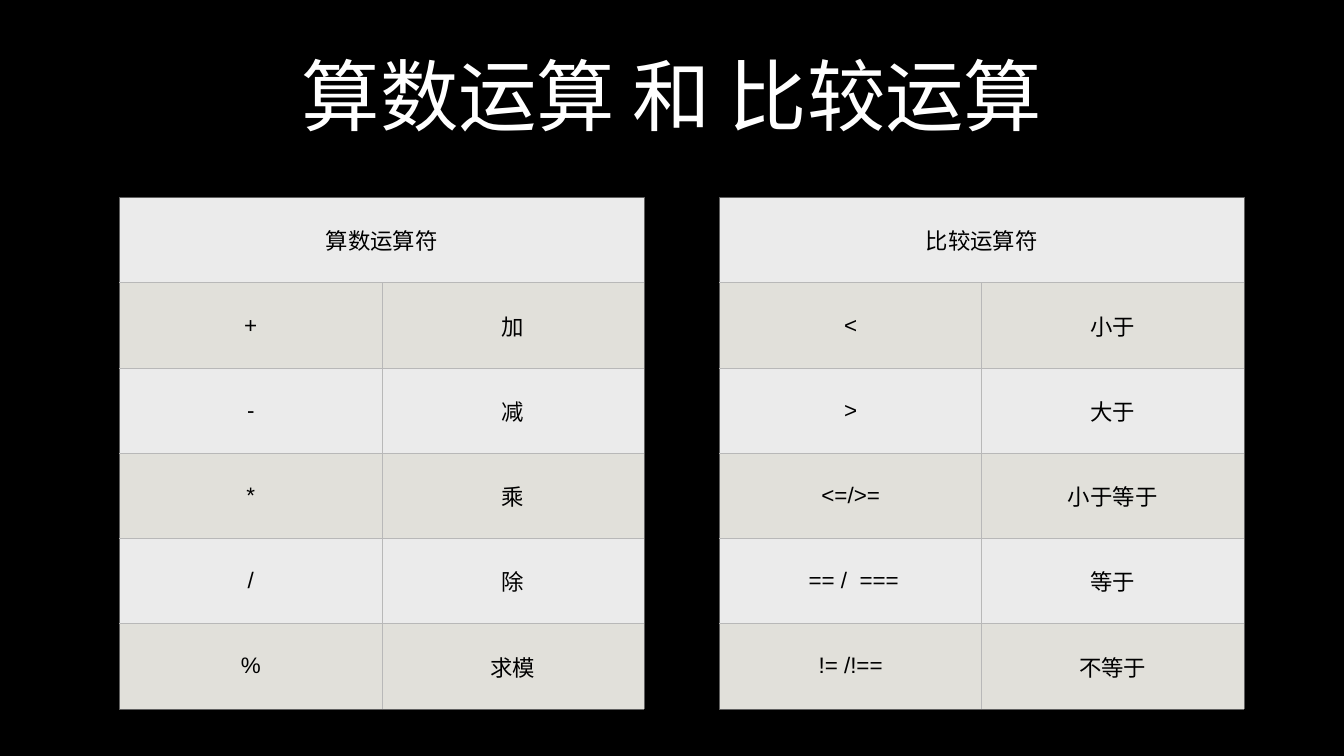
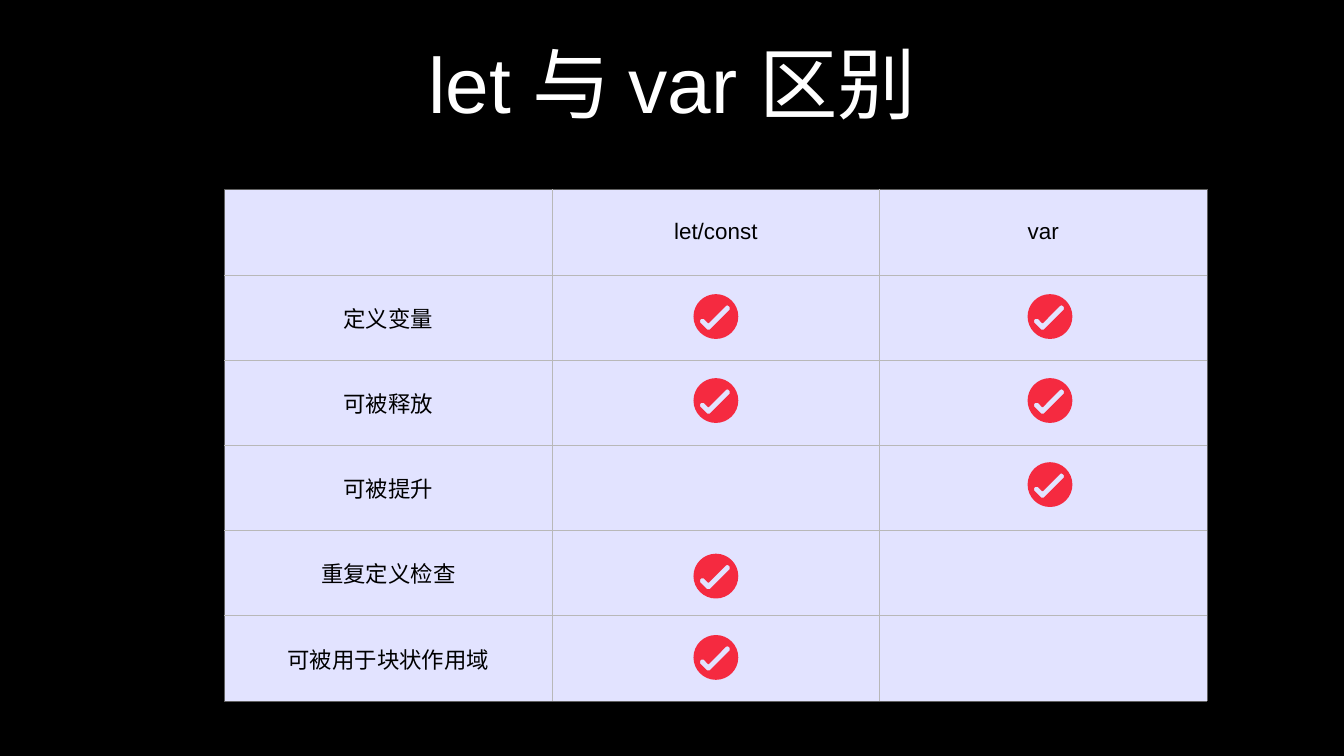
from lxml.etree import SubElement
from pptx import Presentation
from pptx.dml.color import RGBColor as RGB
from pptx.enum.text import MSO_ANCHOR as ANCHOR, MSO_AUTO_SIZE as AUTO, PP_ALIGN as ALIGN
from pptx.oxml.ns import qn
from pptx.util import Pt

COLORS = {
    "background": "000000", "title": "FFFFFF", "text": "000000",
    "light": "EBEBEB", "dark": "E1E0DA", "lilac": "E2E3FF",
    "outer": "606060", "inner": "B8B8B8", "check": "F8162C",
}
FONT = "Arial"
MARGIN = Pt(4)
ROW_HEIGHT = 121.8


def write(tf, text, size=32, color="text", align=ALIGN.CENTER):
    p = tf.paragraphs[0]
    p.alignment = align
    r = p.add_run()
    r.text = text
    r.font.name = FONT
    r.font.size = Pt(size)
    r.font.color.rgb = RGB.from_string(COLORS[color])


def add_grid(slide, rows, left, top, col_width, fills):
    """Add a table whose row fills cycle; None extends the cell to its left."""
    n_rows, n_cols = len(rows), len(rows[0])
    table = slide.shapes.add_table(n_rows, n_cols, Pt(left), Pt(top), Pt(col_width * n_cols),
                                   Pt(ROW_HEIGHT * n_rows)).table
    table.first_row = table.horz_banding = False
    for i, row in enumerate(rows):
        for j, text in enumerate(row):
            if text is None:
                table.cell(i, j - 1).merge(table.cell(i, j))
    for i, row in enumerate(rows):
        for j, text in enumerate(row):
            cell = table.cell(i, j)
            if cell.is_spanned:
                continue
            cell.margin_left = cell.margin_right = MARGIN
            cell.margin_top = cell.margin_bottom = MARGIN
            cell.vertical_anchor = ANCHOR.MIDDLE
            on_edge = {"lnL": j == 0, "lnR": j + cell.span_width == n_cols,
                       "lnT": i == 0, "lnB": i == n_rows - 1}
            tc_pr = cell._tc.get_or_add_tcPr()
            for side, outer in on_edge.items():
                ln = SubElement(tc_pr, qn(f"a:{side}"), w=str(Pt(1)))
                fill = SubElement(ln, qn("a:solidFill"))
                SubElement(fill, qn("a:srgbClr"), val=COLORS["outer" if outer else "inner"])
            cell.fill.solid()
            cell.fill.fore_color.rgb = RGB.from_string(COLORS[fills[i % len(fills)]])
            if text:
                write(cell.text_frame, text)


prs = Presentation()
prs.slide_width, prs.slide_height = Pt(1920), Pt(1080)
bg = prs.slide_master.background.fill
bg.solid()
bg.fore_color.rgb = RGB.from_string(COLORS["background"])

# Slides and their titles
slides = []
for title, top in [("算数运算 和 比较运算", 45), ("let 与 var 区别", 28)]:
    slide = prs.slides.add_slide(prs.slide_layouts[5])
    sp = slide.shapes.title
    sp.left, sp.top, sp.width, sp.height = Pt(133), Pt(top), Pt(1654), Pt(180)
    tf = sp.text_frame
    tf.word_wrap = True
    tf.auto_size = AUTO.NONE
    tf.vertical_anchor = ANCHOR.MIDDLE
    tf.margin_left = tf.margin_right = tf.margin_top = tf.margin_bottom = MARGIN
    write(tf, title, size=112, color="title")
    slides.append(slide)
operators_slide, compare_slide = slides

# Slide 1: operator tables
arithmetic = [("算数运算符", None), ("+", "加"), ("-", "减"), ("*", "乘"), ("/", "除"), ("%", "求模")]
comparison = [("比较运算符", None), ("<", "小于"), (">", "大于"), ("<=/>=", "小于等于"),
              (" == /  ===", "等于"), ("!= /!==", "不等于")]
for rows, left in [(arithmetic, 171), (comparison, 1028)]:
    add_grid(operators_slide, rows, left, 282, 374.5, ["light", "dark"])

# Slide 2: let and var, feature by feature
features = [  # name, top of its check marks, let/const, var
    ("定义变量", 420.2, True, True),
    ("可被释放", 540.2, True, True),
    ("可被提升", 660.3, False, True),
    ("重复定义检查", 791, True, False),
    ("可被用于块状作用域", 907.2, True, False),
]
rows = [("", "let/const", "var")] + [(name, "", "") for name, *_ in features]
add_grid(compare_slide, rows, 321, 270.8, 467.8, ["lilac"])

# Check marks: a disc with a tick cut out, in hundredths of a point.
# A segment is its end point, with two control points before it if it is a curve.
UNIT = Pt(1) / 100
disc = [
    [(3200, 0)],
    [(1430, 0), (0, 1430), (0, 3200)],
    [(0, 4970), (1430, 6400), (3200, 6400)],
    [(4970, 6400), (6400, 4970), (6400, 3200)],
    [(6400, 1430), (4970, 0), (3200, 0)],
]
tick = [
    [(4820, 1600)],
    [(4890, 1600), (4950, 1630), (5010, 1680)], [(5180, 1850)],
    [(5280, 1950), (5280, 2110), (5180, 2210)], [(2320, 5070)],
    [(2210, 5170), (2050, 5170), (1950, 5070)], [(940, 4060)],
    [(840, 3960), (840, 3800), (940, 3700)], [(1110, 3530)],
    [(1210, 3430), (1370, 3430), (1470, 3530)], [(2080, 4150)],
    [(2110, 4180), (2150, 4180), (2180, 4150)], [(4640, 1680)],
    [(4690, 1630), (4760, 1600), (4820, 1600)],
]
for _, top, *marks in features:
    for left, marked in zip((990.7, 1468), marks):
        if not marked:
            continue
        builder = compare_slide.shapes.build_freeform(*disc[0][-1], scale=UNIT)
        builder.add_line_segments([segment[-1] for segment in disc[1:]], close=True)
        builder.move_to(*tick[0][-1])
        builder.add_line_segments([segment[-1] for segment in tick[1:]], close=True)
        sp = builder.convert_to_shape(Pt(left), Pt(top))
        lines = list(sp._element.iter(qn("a:lnTo")))
        for line, (*controls, _end) in zip(lines, disc[1:] + tick[1:]):
            if controls:
                line.tag = qn("a:cubicBezTo")
            for i, (x, y) in enumerate(controls):
                line.insert(i, line.makeelement(qn("a:pt"), x=str(x), y=str(y)))
        sp.shadow.inherit = False
        sp.line.fill.background()
        sp.fill.solid()
        sp.fill.fore_color.rgb = RGB.from_string(COLORS["check"])
        color = sp._element.spPr.find(qn("a:solidFill")).find(qn("a:srgbClr"))
        SubElement(color, qn("a:alpha"), val="90000")

prs.save("out.pptx")
